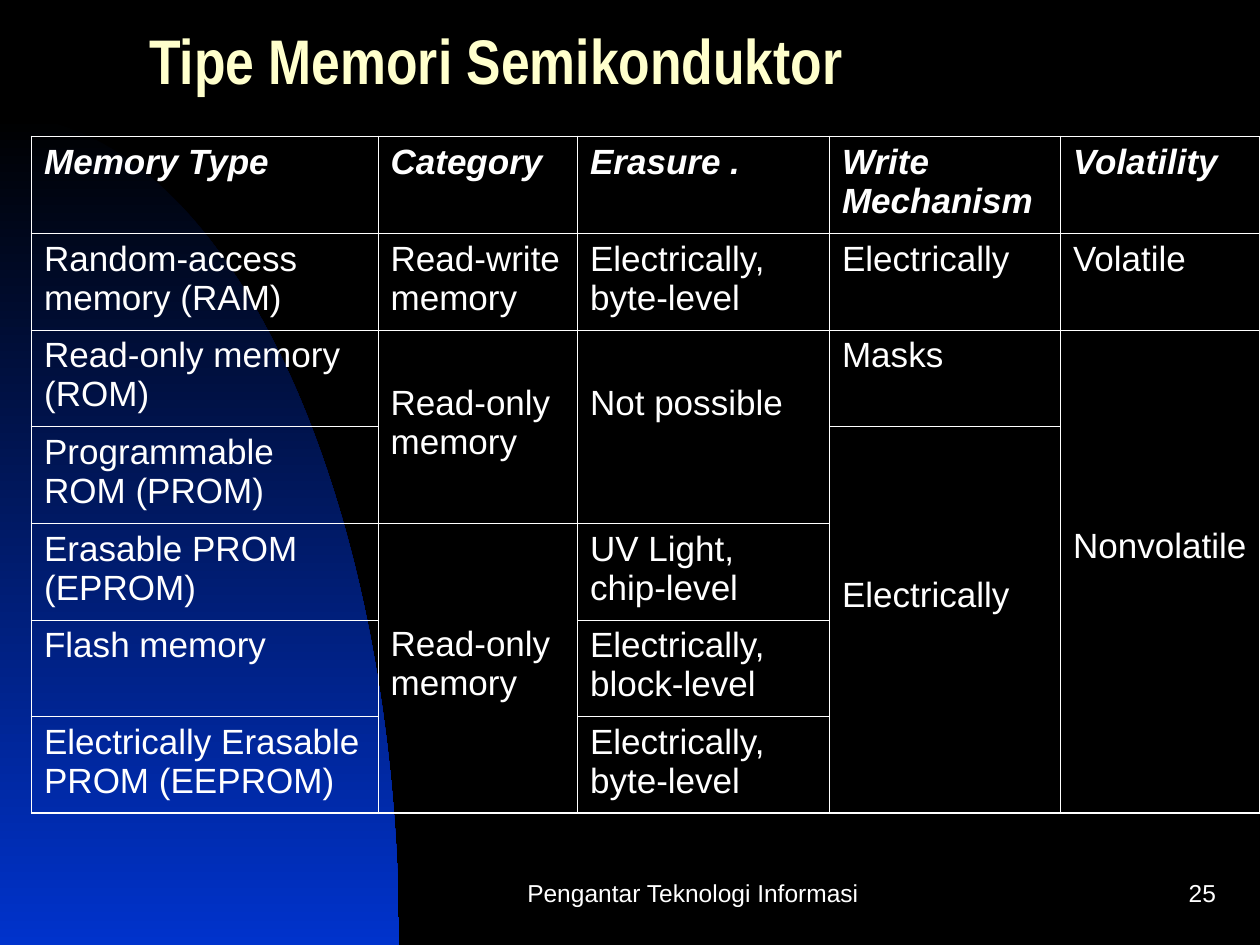
from math import cos, pi, sin

from lxml.etree import SubElement
from pptx import Presentation
from pptx.dml.color import RGBColor as RGB
from pptx.enum.text import MSO_ANCHOR as ANCHOR, PP_ALIGN as ALIGN
from pptx.oxml import parse_xml
from pptx.oxml.ns import nsdecls, qn
from pptx.util import Pt

COLORS = {"back": "000000", "glow": "0033CC", "title": "FFFFCC", "text": "FFFFFF"}
PLAIN = {"name": "Arial", "size": Pt(20), "bold": False, "italic": False}
HEADER = {**PLAIN, "bold": True, "italic": True}
FOOTER = {**PLAIN, "size": Pt(14)}
TITLE = {**PLAIN, "name": "Arial Narrow", "size": Pt(36), "bold": True}

COLUMN_WIDTHS = [198, 114, 144, 132, 114]
ROW_HEIGHT = 55.2
LINE_DROP = 27.2
MEMORY_TYPES = [
    ["Memory Type", "Category", "Erasure .", "Write Mechanism", "Volatility"],
    ["Random-access memory (RAM)", "Read-write memory", "Electrically, byte-level",
     "Electrically", "Volatile"],
    ["Read-only memory (ROM)", "Read-only memory", "Not possible", "Masks", "Nonvolatile"],
    ["Programmable ROM (PROM)", None, None, "Electrically", None],
    ["Erasable PROM (EPROM)", "Read-only memory", "UV Light, chip-level", None, None],
    ["Flash memory", None, "Electrically, block-level", None, None],
    ["Electrically Erasable PROM (EEPROM)", None, "Electrically, byte-level", None, None],
]


class MemorySlide:
    """Holds the style and the current slide, with one method per kind of element."""

    def __init__(self, deck):
        self.slide = deck.slides.add_slide(deck.slide_layouts[5])
        backdrop = self.slide.background.fill
        backdrop.solid()
        backdrop.fore_color.rgb = RGB.from_string(COLORS["back"])

    def fill_text(self, frame, text, style, color="text", align=ALIGN.LEFT):
        frame.text = text
        paragraph = frame.paragraphs[0]
        paragraph.alignment = align
        for key, value in style.items():
            setattr(paragraph.font, key, value)
        paragraph.font.color.rgb = RGB.from_string(COLORS[color])
        return paragraph

    def place(self, shape, left, top, width, height):
        box = {"left": left, "top": top, "width": width, "height": height}
        for key, value in box.items():
            setattr(shape, key, Pt(value))

    def title(self, text, *box):
        heading = self.slide.shapes.title
        self.place(heading, *box)
        heading.text_frame.vertical_anchor = ANCHOR.MIDDLE
        self.fill_text(heading.text_frame, text, TITLE, "title").line_spacing = 0.7

    def label(self, text, *box, align, wrap=True):
        frame = self.slide.shapes.add_textbox(*map(Pt, box)).text_frame
        frame.word_wrap = wrap
        frame.vertical_anchor = ANCHOR.MIDDLE
        self.fill_text(frame, text, FOOTER, align=align)

    def glow(self, width, height, bottom, steps=90):
        angles = [pi / 2 * step / steps for step in range(steps + 1)]
        arc = [(Pt(width * sin(a)), Pt(bottom - height * cos(a))) for a in angles]
        builder = self.slide.shapes.build_freeform(*arc[0])
        builder.add_line_segments(arc[1:] + [(0, Pt(bottom))], close=True)
        quarter = builder.convert_to_shape()
        quarter.shadow.inherit = False
        quarter.line.fill.background()
        quarter.fill.gradient()
        quarter.fill.gradient_angle = 270
        for stop, name, position in zip(quarter.fill.gradient_stops, ("back", "glow"), (0, 1)):
            stop.color.rgb = RGB.from_string(COLORS[name])
            stop.position = position

    def borders(self, cell, outer_sides):
        properties = cell._tc.get_or_add_tcPr()
        for index, side in enumerate("LRTB"):
            width = Pt(1.08 if side in outer_sides else 0.45)
            edge = parse_xml(f'<a:ln{side} {nsdecls("a")} w="{width}"/>')
            fill = SubElement(edge, qn("a:solidFill"))
            SubElement(fill, qn("a:srgbClr"), val=COLORS["text"])
            properties.insert(index, edge)

    def table(self, rows, left, top):
        count, width = len(rows), len(COLUMN_WIDTHS)
        grid = self.slide.shapes.add_table(
            count, width, Pt(left), Pt(top), Pt(sum(COLUMN_WIDTHS)), Pt(ROW_HEIGHT * count)).table
        grid.first_row = grid.horz_banding = False
        for column, column_width in zip(grid.columns, COLUMN_WIDTHS):
            column.width = Pt(column_width)
        for row in grid.rows:
            row.height = Pt(ROW_HEIGHT)
        for r, row in enumerate(rows):
            for c, text in enumerate(row):
                cell = grid.cell(r, c)
                cell.fill.background()
                if text is None:
                    continue
                last = r
                while last + 1 < count and rows[last + 1][c] is None:
                    last += 1
                if last > r:
                    cell.merge(grid.cell(last, c))
                cell.margin_top = Pt(3.6 + LINE_DROP * (last - r))
                self.fill_text(cell.text_frame, text, PLAIN if r else HEADER)
                at_edge = {"L": c == 0, "R": c == width - 1, "T": r == 0, "B": last == count - 1}
                self.borders(cell, [side for side, outer in at_edge.items() if outer])


def main():
    deck = Presentation()
    deck.slide_width, deck.slide_height = Pt(720), Pt(540)
    page = MemorySlide(deck)
    page.glow(228, 474, 540)
    page.label("Pengantar Teknologi Informasi", 282, 492, 228, 36, align=ALIGN.CENTER)
    page.label("25", 552, 492, 150, 36, align=ALIGN.RIGHT, wrap=False)
    page.title("Tipe Memori Semikonduktor", 78, 18, 612, 42)
    page.table(MEMORY_TYPES, 18, 78)
    deck.save("out.pptx")


if __name__ == "__main__":
    main()
